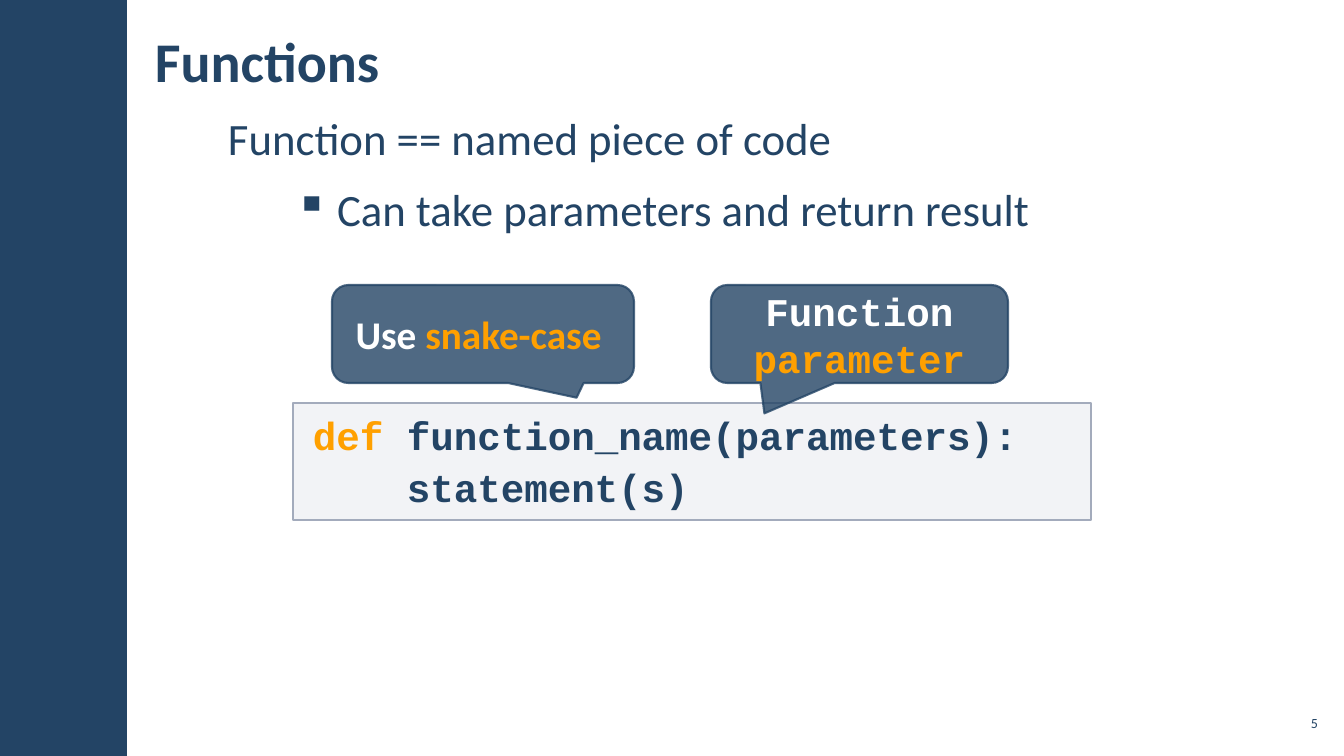
import dataclasses
import typing

import lxml.etree
import pptx
import pptx.dml.color
import pptx.enum.shapes
import pptx.enum.text
import pptx.oxml.ns
import pptx.util

SCALE = 914400 / 100.8
NAVY, AMBER, WHITE = "234465", "FFA000", "FFFFFF"
SANS, MONO = "Calibri", "Courier New"
SHAPE = pptx.enum.shapes.MSO_SHAPE
ALIGN = pptx.enum.text.PP_ALIGN
ANCHOR = pptx.enum.text.MSO_ANCHOR


class Box(typing.NamedTuple):
    left: int
    top: int
    width: int
    height: int


class Run(typing.NamedTuple):
    text: str
    color: str = NAVY


@dataclasses.dataclass
class Style:
    size: int
    font: str = SANS
    bold: bool = False
    align: ALIGN = ALIGN.LEFT
    before: int = 0
    after: int = 0
    lines: float = 1.0


@dataclasses.dataclass
class Callout:
    box: Box
    tip: tuple[float, float]
    font: str
    runs: list[Run]


CALLOUTS = [
    Callout(Box(332, 285, 302, 98), (0.31, 0.65), SANS,
            [Run("Use ", WHITE), Run("snake-case ", AMBER)]),
    Callout(Box(711, 285, 297, 98), (-0.32, 0.81), MONO,
            [Run("Function", WHITE), Run(" parameter", AMBER)]),
]


def px(count: int) -> pptx.util.Emu:
    return pptx.util.Emu(round(count * SCALE))


def rgb(color: str) -> pptx.dml.color.RGBColor:
    return pptx.dml.color.RGBColor.from_string(color)


def paint(fill, color: str, alpha: int = 100) -> None:
    """Fill with a colour at an opacity given in percent."""
    fill.solid()
    fill.fore_color.rgb = rgb(color)
    if alpha < 100:
        tag = pptx.oxml.ns.qn("a:alpha")
        for tone in fill._xPr.iterfind("./*/" + pptx.oxml.ns.qn("a:srgbClr")):
            lxml.etree.SubElement(tone, tag).set("val", str(alpha * 1000))


def add_box(slide, kind: SHAPE, box: Box, color: str, alpha: int = 100):
    shape = slide.shapes.add_shape(kind, *map(px, box))
    shape.shadow.inherit = False
    paint(shape.fill, color, alpha)
    shape.line.fill.background()
    return shape


def add_line(shape, color: str, width: float, alpha: int = 100) -> None:
    shape.line.width = pptx.util.Pt(width)
    paint(shape.line.fill, color, alpha)


def set_frame(shape, pads: tuple[int, int, int, int], anchor: ANCHOR):
    """Set the insets (left, top, right, bottom) and the anchor."""
    frame = shape.text_frame
    frame.word_wrap = True
    frame.vertical_anchor = anchor
    (frame.margin_left, frame.margin_top,
     frame.margin_right, frame.margin_bottom) = map(px, pads)
    return frame


def add_text(slide, box: Box, pad: int, anchor: ANCHOR):
    shape = slide.shapes.add_textbox(*map(px, box))
    return set_frame(shape, (pad, 4, pad, 4), anchor)


def add_bullet(para, left: int, hang: int, mark: str) -> None:
    props = para._p.get_or_add_pPr()
    props.set("marL", str(px(left)))
    props.set("indent", str(px(-hang)))
    tag = pptx.oxml.ns.qn("a:buChar")
    lxml.etree.SubElement(props, tag).set("char", mark)


def write(para, runs: list[Run], style: Style) -> None:
    para.alignment = style.align
    para.line_spacing = style.lines
    para.space_before = pptx.util.Pt(style.before)
    para.space_after = pptx.util.Pt(style.after)
    for part in runs:
        run = para.add_run()
        run.text = part.text
        run.font.name = style.font
        run.font.size = pptx.util.Pt(style.size)
        run.font.bold = style.bold
        run.font.color.rgb = rgb(part.color)


def add_body(slide) -> None:
    frame = add_text(slide, Box(216, 107, 1106, 616), 12, ANCHOR.TOP)
    write(frame.paragraphs[0], [Run("Function == named piece of code")],
          Style(32, after=6))
    point = frame.add_paragraph()
    add_bullet(point, 109, 42, "▪")
    write(point, [Run("Can take parameters and return result")],
          Style(32, before=6, after=6))


def add_code(slide) -> None:
    shape = add_box(slide, SHAPE.RECTANGLE, Box(293, 403, 798, 117),
                    "ADB4C3", 15)
    add_line(shape, "A3ABBC", 1)
    frame = set_frame(shape, (20, 4, 20, 8), ANCHOR.TOP)
    style = Style(28, MONO, True, lines=1.1)
    write(frame.paragraphs[0],
          [Run("def ", AMBER), Run("function_name(parameters):")], style)
    write(frame.add_paragraph(), [Run("    statement(s)")], style)


def add_callout(slide, call: Callout) -> None:
    shape = add_box(slide, SHAPE.ROUNDED_RECTANGULAR_CALLOUT, call.box,
                    NAVY, 80)
    add_line(shape, NAVY, 1.5, 80)
    for index, value in enumerate(call.tip):
        shape.adjustments[index] = value
    frame = set_frame(shape, (10, 5, 10, 5), ANCHOR.MIDDLE)
    write(frame.paragraphs[0], call.runs,
          Style(28, call.font, True, ALIGN.CENTER))


def main() -> None:
    deck = pptx.Presentation()
    deck.slide_width, deck.slide_height = px(1344), px(756)
    slide = deck.slides.add_slide(deck.slide_layouts[6])
    add_box(slide, SHAPE.RECTANGLE, Box(0, 0, 127, 756), NAVY)
    add_body(slide)
    title = add_text(slide, Box(143, 11, 925, 98), 12, ANCHOR.MIDDLE)
    write(title.paragraphs[0], [Run("Functions")], Style(40, bold=True))
    number = add_text(slide, Box(1275, 706, 47, 34), 4, ANCHOR.MIDDLE)
    write(number.paragraphs[0], [Run("5")], Style(10, align=ALIGN.RIGHT))
    add_code(slide)
    for call in CALLOUTS:
        add_callout(slide, call)
    deck.save("out.pptx")


if __name__ == "__main__":
    main()
